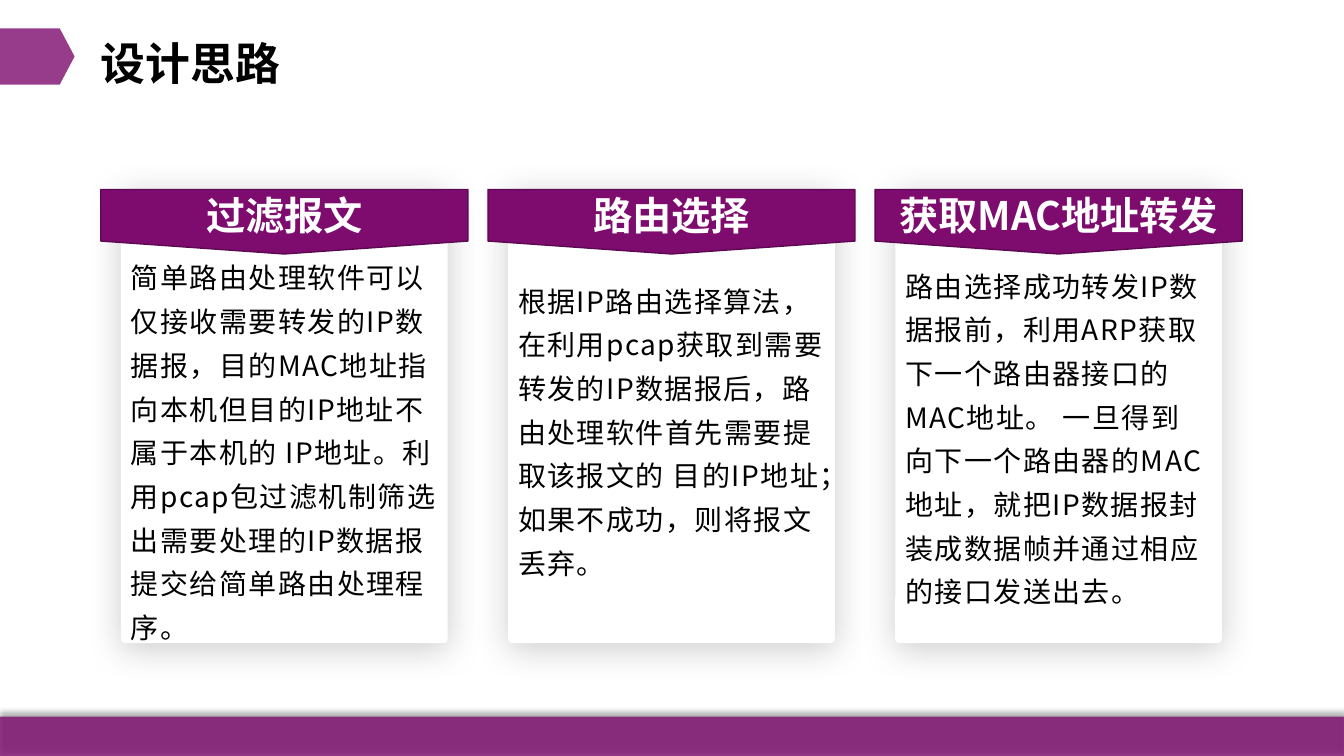
"""Build the design approach slide with three cards."""
from lxml.etree import SubElement
from pptx import Presentation
from pptx.dml.color import RGBColor
from pptx.enum.shapes import MSO_SHAPE
from pptx.enum.text import MSO_ANCHOR, MSO_AUTO_SIZE, PP_ALIGN
from pptx.oxml.ns import qn
from pptx.util import Inches, Pt

FACE = "Noto Sans CJK SC"
PURPLE = "7E0C6E"
TITLE = {"size": Pt(32), "bold": True}
HEAD = {"size": Pt(28), "bold": True}
BODY = {"size": Pt(20), "bold": False}


def draw(parent, kind, box, color, alpha=100, shadow=None):
    shape = parent.add_shape(kind, *map(Inches, box))
    shape.shadow.inherit = False
    shape.fill.solid()
    shape.fill.fore_color.rgb = RGBColor.from_string(color)
    shape.line.fill.background()
    props = shape._element.spPr
    if alpha < 100:
        tint = props.find(qn("a:solidFill"))[0]
        SubElement(tint, qn("a:alpha"), val=str(alpha * 1000))
    if shadow:
        shade, blur, dist, angle = shadow
        cast = SubElement(
            props.find(qn("a:effectLst")), qn("a:outerShdw"),
            blurRad=str(Pt(blur)), dist=str(Pt(dist)),
            dir=str(angle * 60000), rotWithShape="0")
        tint = SubElement(cast, qn("a:srgbClr"), val="000000")
        SubElement(tint, qn("a:alpha"), val=str(shade * 1000))
    return shape


def write(shape, text, style, color, spread=None, track=0):
    frame = shape.text_frame
    frame.word_wrap = True
    para = frame.paragraphs[0]
    if spread:
        frame.auto_size = MSO_AUTO_SIZE.SHAPE_TO_FIT_TEXT
        para.line_spacing = spread
    else:
        frame.vertical_anchor = MSO_ANCHOR.MIDDLE
        para.alignment = PP_ALIGN.CENTER
    run = para.add_run()
    run.text = text
    for name, value in style.items():
        setattr(run.font, name, value)
    run.font.color.rgb = RGBColor.from_string(color)
    run.font.name = FACE
    props = run._r.get_or_add_rPr()
    SubElement(props, qn("a:ea"), typeface=FACE)
    if track:
        props.set("spc", str(track * 100))


deck = Presentation()
deck.slide_width = Inches(13.33)
deck.slide_height = Inches(7.5)
slide = deck.slides.add_slide(deck.slide_layouts[6])
shapes = slide.shapes

flag = draw(shapes, MSO_SHAPE.FLOWCHART_OFFPAGE_CONNECTOR,
            (0.09, 0.19, 0.56, 0.74), PURPLE, 80)
flag.rotation = 270
draw(shapes, MSO_SHAPE.RECTANGLE, (0, 7.11, 13.33, 0.39), PURPLE, 80,
     (40, 4, 3, 270))
title = shapes.add_textbox(*map(Inches, (0.9, 0.15, 7.25, 0.8)))
write(title, "设计思路", TITLE, "000000", 1.3)

cards = [
    ("过滤报文", 2.44, 3.24, 4.04,
     "简单路由处理软件可以仅接收需要转发的IP数据报，目的MAC地址指向本机"
     "但目的IP地址不属于本机的 IP地址。利用pcap包过滤机制筛选出需要处理的"
     "IP数据报提交给简单路由处理程序。"),
    ("路由选择", 2.67, 3.26, 3.16,
     "根据IP路由选择算法，在利用pcap获取到需要转发的IP数据报后，路由处理"
     "软件首先需要提取该报文的 目的IP地址；如果不成功，则将报文丢弃。"),
    ("获取MAC地址转发", 2.52, 3.18, 3.6,
     "路由选择成功转发IP数据报前，利用ARP获取下一个路由器接口的MAC地址。 "
     "一旦得到向下一个路由器的MAC地址，就把IP数据报封装成数据帧并通过相应的"
     "接口发送出去。"),
]
for index, (label, top, width, height, text) in enumerate(cards):
    left = 1 + index * 3.84
    group = shapes.add_group_shape().shapes
    panel = draw(group, MSO_SHAPE.ROUNDED_RECTANGLE,
                 (left + 0.2, 1.88, 3.24, 4.5), "FFFFFF",
                 shadow=(20, 25, 4, 90))
    panel.adjustments[0] = 0.013
    banner = draw(group, MSO_SHAPE.FLOWCHART_OFFPAGE_CONNECTOR,
                  (left, 1.88, 3.64, 0.64), PURPLE)
    banner.line.color.rgb = RGBColor.from_string("5D0951")
    banner.line.width = Pt(1)
    write(banner, label, HEAD, "FFFFFF")
    body = group.add_textbox(*map(Inches, (left + 0.2, top, width, height)))
    write(body, text, BODY, "000000", 1.3, 1)

deck.save("out.pptx")
